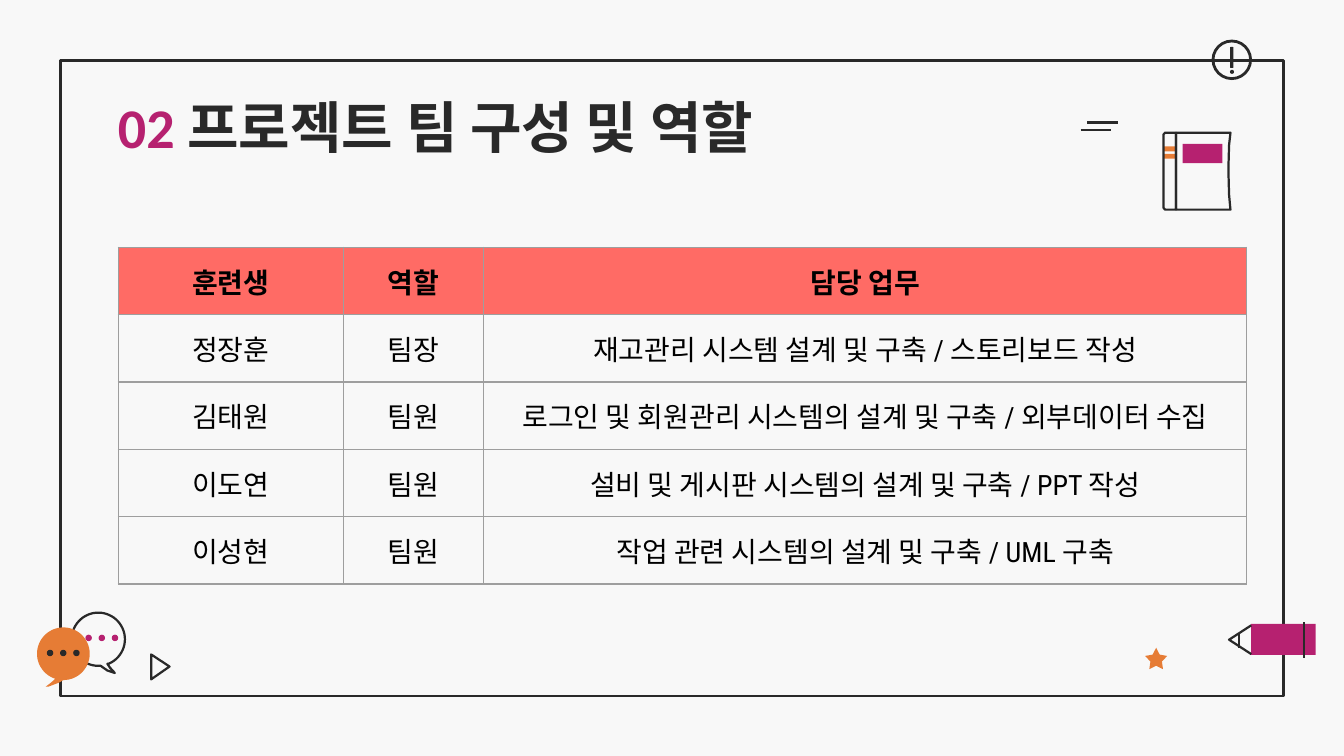
from dataclasses import dataclass
from math import cos, radians, sin

from lxml.etree import SubElement
from pptx import Presentation
from pptx.dml.color import RGBColor
from pptx.enum.shapes import MSO_CONNECTOR, MSO_SHAPE as Preset
from pptx.enum.text import MSO_ANCHOR, PP_ALIGN
from pptx.oxml.ns import qn
from pptx.util import Inches, Pt

# The slide is a grid of 1000 columns by 562.5 rows, each cell 0.01 inch wide and high.
COLUMNS, ROWS = 1000, 562.5
CELL = Inches(0.01)
FINE = 100  # freeform steps per cell

INK, PAPER = "292929", "F8F8F8"
MAGENTA, ORANGE, CORAL = "B62170", "E67C35", "FF6B65"
BORDER, BLACK = "9E9E9E", "000000"
STROKE, THIN = 1.5, 1.2

Point = tuple[float, float]


@dataclass(frozen=True)
class Area:
    col: float
    row: float
    cols: float
    rows: float

    def emu(self) -> list[int]:
        return [round(v * CELL) for v in (self.col, self.row, self.cols, self.rows)]


@dataclass(frozen=True)
class Bubble:
    """A round speech bubble: the circle runs between two angles, the tail closes it."""
    centre: Point
    radius: float
    start: int
    sweep: int
    tail: list[Point]

    def outline(self) -> list[Point]:
        x, y = self.centre
        angles = [radians(self.start + step) for step in range(0, self.sweep + 1, 6)]
        return [(x + self.radius * cos(a), y + self.radius * sin(a)) for a in angles] + self.tail


@dataclass(frozen=True)
class Member:
    name: str
    role: str
    duty: str


HEADINGS = Member("훈련생", "역할", "담당 업무")
TEAM = [
    Member("정장훈", "팀장", "재고관리 시스템 설계 및 구축 / 스토리보드 작성"),
    Member("김태원", "팀원", "로그인 및 회원관리 시스템의 설계 및 구축 / 외부데이터 수집"),
    Member("이도연", "팀원", "설비 및 게시판 시스템의 설계 및 구축 / PPT 작성"),
    Member("이성현", "팀원", "작업 관련 시스템의 설계 및 구축 / UML 구축"),
]
TABLE_COLUMNS = (167.5, 104.5, 567.5)
TABLE_ROW = 50.15


def color(hex_code: str) -> RGBColor:
    return RGBColor.from_string(hex_code)


def paint(shape, fill: str | None, line: str | None, width: float) -> None:
    shape.shadow.inherit = False
    if fill:
        shape.fill.solid()
        shape.fill.fore_color.rgb = color(fill)
    else:
        shape.fill.background()
    if line:
        shape.line.color.rgb = color(line)
        shape.line.width = Pt(width)
    else:
        shape.line.fill.background()


def draw_preset(slide, preset: Preset, area: Area, fill: str | None = None,
                line: str | None = None, width: float = STROKE):
    shape = slide.shapes.add_shape(preset, *area.emu())
    paint(shape, fill, line, width)
    return shape


def draw_outline(slide, points: list[Point], fill: str | None = None,
                 line: str | None = None, closed: bool = True) -> None:
    first, *rest = [(x * FINE, y * FINE) for x, y in points]
    builder = slide.shapes.build_freeform(*first, scale=CELL / FINE)
    builder.add_line_segments(rest, close=closed)
    paint(builder.convert_to_shape(), fill, line, THIN)


def draw_line(slide, start: Point, end: Point, width: float = THIN) -> None:
    ends = [round(v * CELL) for v in (*start, *end)]
    line = slide.shapes.add_connector(MSO_CONNECTOR.STRAIGHT, *ends)
    line.line.color.rgb = color(INK)
    line.line.width = Pt(width)
    SubElement(line._element.spPr, qn("a:effectLst"))


def draw_dots(slide, col: float, row: float, fill: str) -> None:
    for i in range(3):
        draw_preset(slide, Preset.OVAL, Area(col + 9.8 * i, row, 4.8, 4.8), fill)


def draw_frame(slide) -> None:
    draw_preset(slide, Preset.RECTANGLE, Area(45, 45, 910, 473), line=INK)
    draw_preset(slide, Preset.OVAL, Area(902.5, 30.5, 28, 28), line=INK)
    draw_preset(slide, Preset.OVAL, Area(915.2, 52, 3, 3), INK)
    draw_preset(slide, Preset.ROUNDED_RECTANGLE, Area(915.3, 35, 2.4, 15.5), INK)


def draw_pencil(slide) -> None:
    draw_preset(slide, Preset.RECTANGLE, Area(931, 464.3, 48, 23), MAGENTA)
    draw_outline(slide, [(931, 465.3), (914.5, 476), (931, 486.7)], line=INK, closed=False)
    draw_line(slide, (922, 471), (922, 482))
    draw_line(slide, (970, 463), (970, 489.5))


def draw_book(slide) -> None:
    for row in (109, 114.5):
        draw_preset(slide, Preset.RECTANGLE, Area(866, row, 9, 3.7), ORANGE)
    spine = [(875, 98.7), (867, 98.7), (865.7, 100), (865.7, 154.7), (867, 156), (875, 156)]
    draw_outline(slide, spine, line=INK)
    page_edge = [(915.5, 98.7), (914.5, 108), (914, 126), (914.5, 145), (915.5, 156)]
    draw_outline(slide, [(875, 98.7), *page_edge, (875, 156)], line=INK)
    draw_preset(slide, Preset.RECTANGLE, Area(880, 107, 29.5, 14.5), MAGENTA)
    for col, row in ((809, 91), (804, 96.7)):
        draw_line(slide, (col, row), (col + 23, row), STROKE)


def draw_chat(slide) -> None:
    reply = Bubble((73.2, 475.7), 19.8, 90, 336,
                   [(80, 494), (82, 497), (85.5, 500.8), (80, 499), (75, 495.5)])
    remark = Bubble((47.2, 486.5), 19.6, 108, 342, [(44, 508), (36, 511), (34, 511), (38, 508)])
    draw_outline(slide, reply.outline(), line=INK)
    draw_outline(slide, remark.outline(), ORANGE)
    draw_dots(slide, 34.9, 483.5, INK)
    draw_dots(slide, 63.6, 472.3, MAGENTA)
    draw_outline(slide, [(112.5, 487), (112.5, 505.5), (126.2, 496)], PAPER, INK)


def draw_star(slide) -> None:
    star = draw_preset(slide, Preset.STAR_5_POINT, Area(852, 482, 16.5, 16), ORANGE)
    star.adjustments[0] = 0.26


def write_title(slide) -> None:
    frame = slide.shapes.add_textbox(*Area(78, 59, 553, 117).emu()).text_frame
    frame.word_wrap = True
    frame.margin_left = frame.margin_right = frame.margin_top = frame.margin_bottom = Inches(0.1)
    heading = frame.paragraphs[0]
    heading.font.name, heading.font.size, heading.font.bold = "Calibri", Pt(30), True
    for wording, ink in (("02 ", MAGENTA), ("프로젝트 팀 구성 및 역할", INK)):
        part = heading.add_run()
        part.text = wording
        part.font.color.rgb = color(ink)


def fill_cell(cell, wording: str, is_heading: bool) -> None:
    cell.margin_left = cell.margin_right = cell.margin_top = cell.margin_bottom = Inches(0.1)
    cell.vertical_anchor = MSO_ANCHOR.TOP
    cell.text = wording
    entry = cell.text_frame.paragraphs[0]
    entry.alignment = PP_ALIGN.CENTER
    font = entry.font
    font.name, font.size, font.bold = "Roboto Condensed", Pt(15), is_heading
    font.color.rgb = color(BLACK)
    properties = cell._tc.get_or_add_tcPr()
    for side in ("a:lnL", "a:lnR", "a:lnT", "a:lnB"):
        border = SubElement(properties, qn(side), w=str(Pt(0.75)))
        SubElement(SubElement(border, qn("a:solidFill")), qn("a:srgbClr"), val=BORDER)
    if is_heading:
        cell.fill.solid()
        cell.fill.fore_color.rgb = color(CORAL)
    else:
        cell.fill.background()


def draw_team_table(slide) -> None:
    lines = [HEADINGS, *TEAM]
    area = Area(88, 184, sum(TABLE_COLUMNS), TABLE_ROW * len(lines))
    table = slide.shapes.add_table(len(lines), len(TABLE_COLUMNS), *area.emu()).table
    table.first_row = table.horz_banding = False
    for column, cols in zip(table.columns, TABLE_COLUMNS):
        column.width = round(cols * CELL)
    for r, member in enumerate(lines):
        for c, wording in enumerate((member.name, member.role, member.duty)):
            fill_cell(table.cell(r, c), wording, is_heading=r == 0)


def main() -> None:
    deck = Presentation()
    deck.slide_width, deck.slide_height = round(COLUMNS * CELL), round(ROWS * CELL)
    slide = deck.slides.add_slide(deck.slide_layouts[6])
    slide.background.fill.solid()
    slide.background.fill.fore_color.rgb = color(PAPER)
    for draw in (draw_frame, draw_pencil, write_title, draw_book, draw_chat, draw_star,
                 draw_team_table):
        draw(slide)
    deck.save("out.pptx")


if __name__ == "__main__":
    main()
